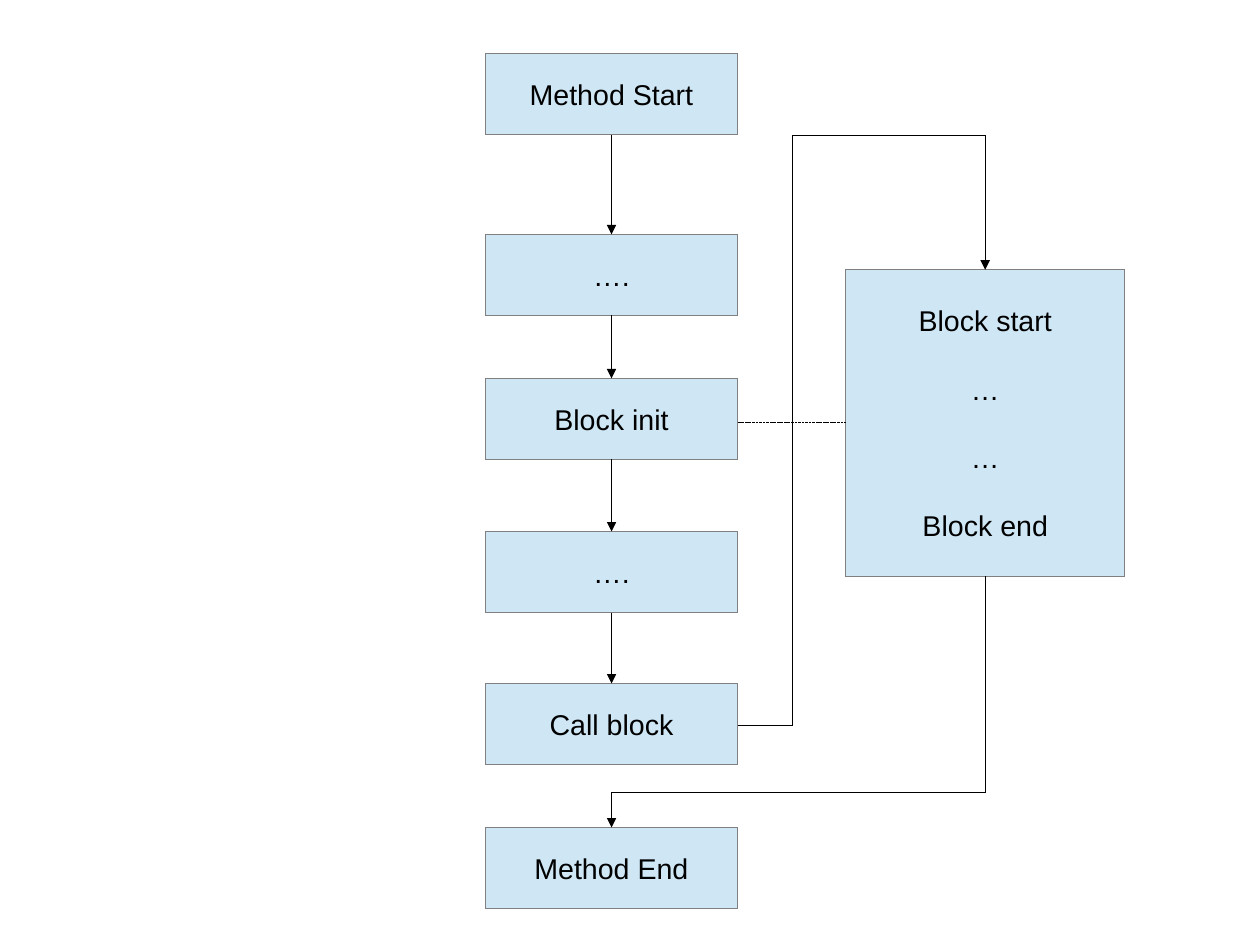
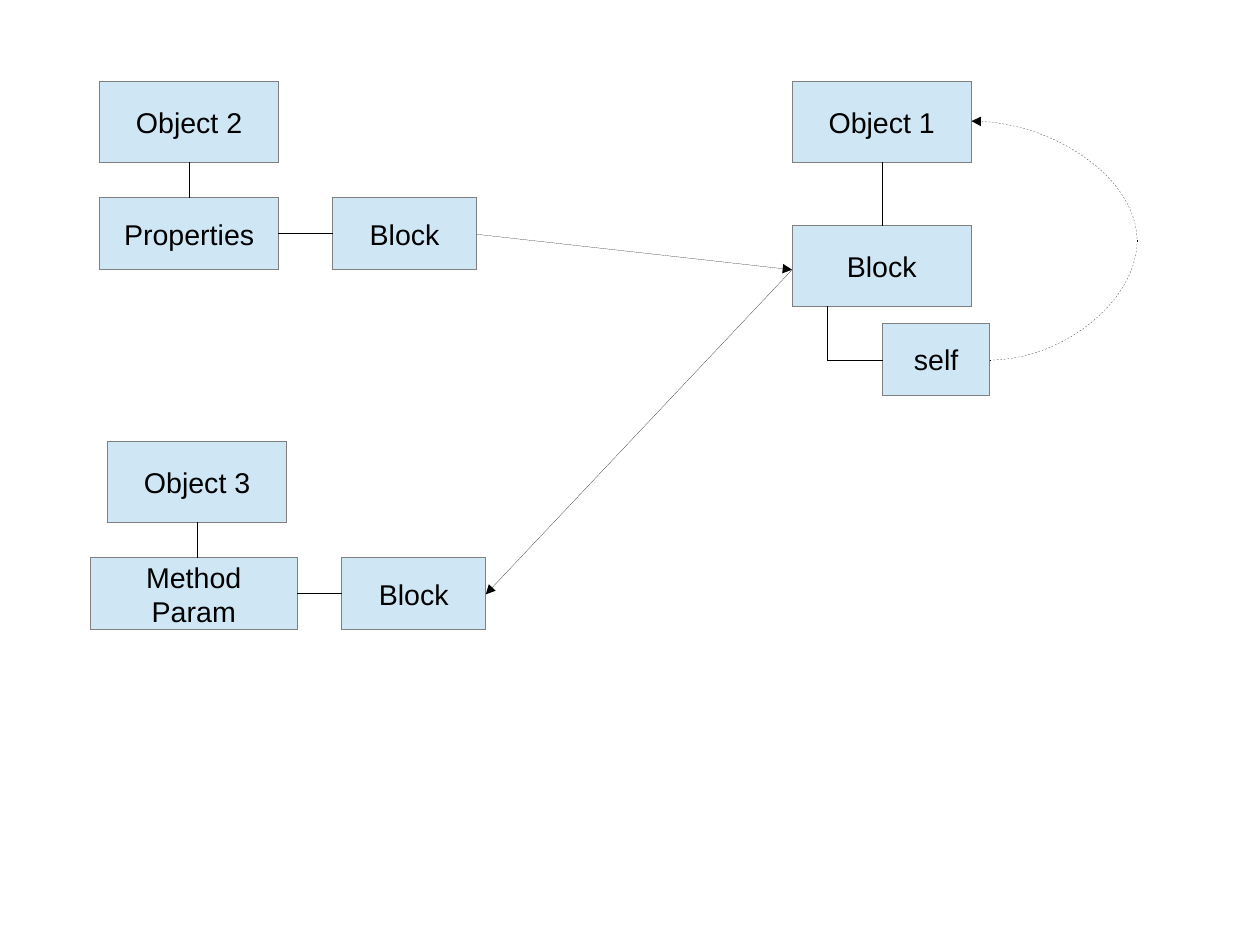
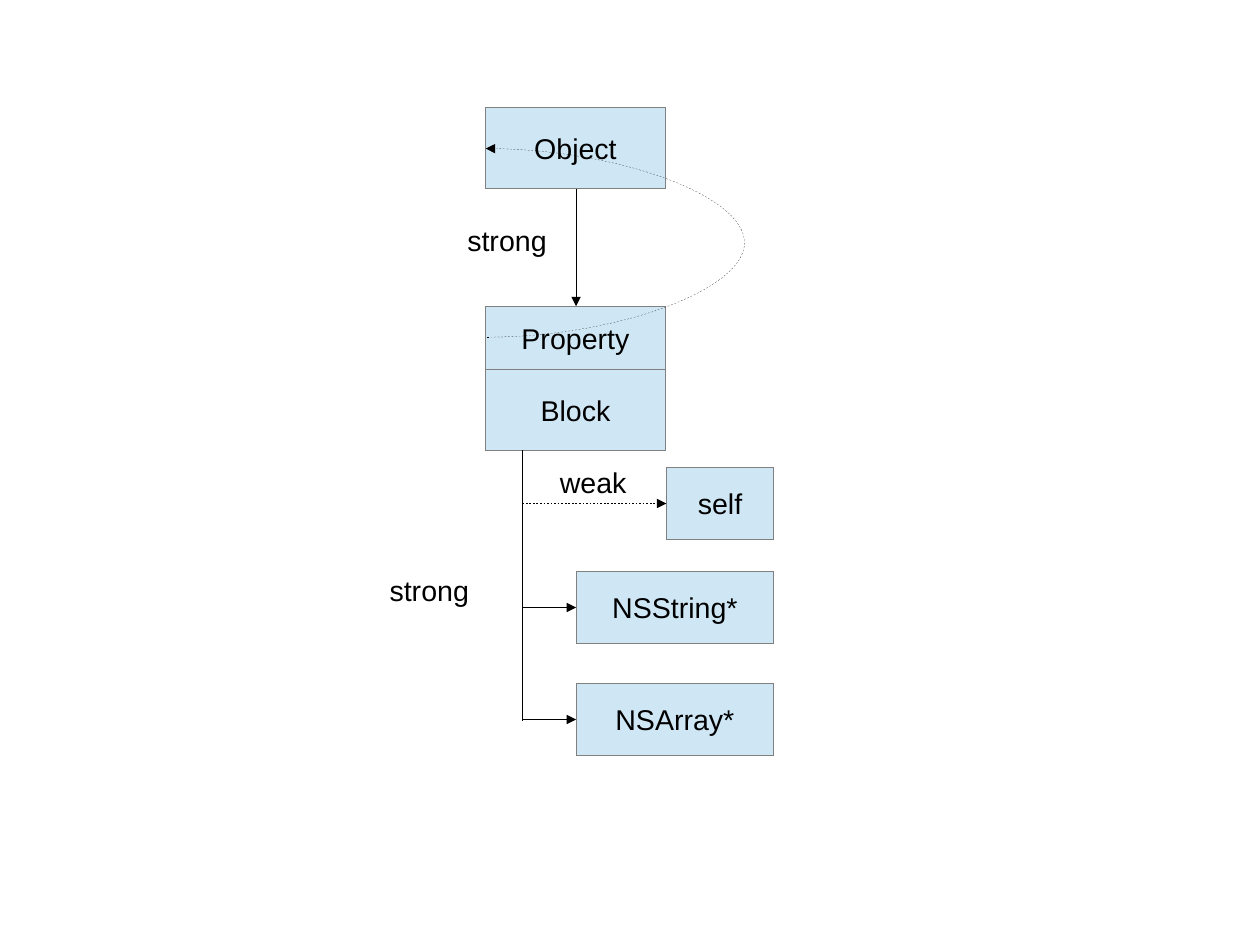
from lxml import etree
from pptx import Presentation
from pptx.dml.color import RGBColor
from pptx.enum.shapes import MSO_CONNECTOR, MSO_SHAPE
from pptx.enum.text import MSO_ANCHOR, MSO_AUTO_SIZE, PP_ALIGN
from pptx.oxml.ns import qn
from pptx.util import Cm, Inches, Pt

# Shared style
FONT, SIZE = "Arial", 18
BOX_FILL, BOX_LINE, INK = "CFE7F5", "808080", "000000"
BOX_H, SMALL_H = 0.71, 0.63
DASH_SHARE = "146000"

RECT = MSO_SHAPE.RECTANGLE
STRAIGHT, ELBOW, CURVE = (MSO_CONNECTOR.STRAIGHT, MSO_CONNECTOR.ELBOW,
                          MSO_CONNECTOR.CURVE)
MIDDLE, CENTER, LEFT = MSO_ANCHOR.MIDDLE, PP_ALIGN.CENTER, PP_ALIGN.LEFT
FIT_SHAPE = MSO_AUTO_SIZE.SHAPE_TO_FIT_TEXT


def rgb(hex_color):
    return RGBColor.from_string(hex_color)


def hairline(sp, color):
    """Give a shape or connector the thinnest line; return its a:ln."""
    sp.line.color.rgb = rgb(color)
    ln = sp._element.spPr.find(qn("a:ln"))
    ln.set("w", "0")
    return ln


def write(tf, text, align, gap=0):
    tf.text = text
    for i, p in enumerate(tf.paragraphs):
        p.alignment = align
        p.space_before = Pt(gap if i else 0)
        for r in p.runs:
            r.font.name, r.font.size = FONT, Pt(SIZE)
            r.font.color.rgb = rgb(INK)


def box(slide, text, x, y, w, h=BOX_H, gap=0):
    sp = slide.shapes.add_shape(RECT, *map(Inches, (x, y, w, h)))
    sp.shadow.inherit = False
    sp.fill.solid()
    sp.fill.fore_color.rgb = rgb(BOX_FILL)
    hairline(sp, BOX_LINE)
    tf = sp.text_frame
    tf.word_wrap = True
    tf.vertical_anchor = MIDDLE
    write(tf, text, CENTER, gap)


def label(slide, text, x, y, w):
    tf = slide.shapes.add_textbox(*map(Inches, (x, y, w, 0.38))).text_frame
    tf.word_wrap = False
    tf.auto_size = FIT_SHAPE
    write(tf, text, LEFT)


def link(slide, start, end, arrow=False, dashed=False, kind=STRAIGHT):
    cxn = slide.shapes.add_connector(kind, *map(Inches, (*start, *end)))
    ln = hairline(cxn, INK)
    if dashed:
        dash = etree.SubElement(ln, qn("a:custDash"))
        etree.SubElement(dash, qn("a:ds"), d=DASH_SHARE, sp=DASH_SHARE)
    if arrow:
        etree.SubElement(ln, qn("a:tailEnd"), type="triangle")
    etree.SubElement(cxn._element.spPr, qn("a:effectLst"))
    return cxn


def set_bends(cxn, preset, *ratios):
    """Place the bends of a routed connector, as shares of its extent."""
    geom = cxn._element.spPr.find(qn("a:prstGeom"))
    geom.set("prst", preset)
    guides = geom.find(qn("a:avLst"))
    if guides is None:
        guides = etree.SubElement(geom, qn("a:avLst"))
    for i, ratio in enumerate(ratios, 1):
        etree.SubElement(guides, qn("a:gd"), name=f"adj{i}",
                         fmla=f"val {round(ratio * 100000)}")


def share(a, b, value):
    return (value - a) / (b - a)


def over_link(slide, start, end, bend_x, bend_y):
    """Leave sideways, turn at bend_x and bend_y, arrive from above."""
    cxn = link(slide, start, end, arrow=True, kind=ELBOW)
    set_bends(cxn, "bentConnector4", share(start[0], end[0], bend_x),
              share(start[1], end[1], bend_y))


def down_link(slide, start, end, bend_y):
    """Leave downwards, cross at bend_y, arrive from above."""
    cx, cy = (start[0] + end[0]) / 2, (start[1] + end[1]) / 2
    turned = [(cx + y - cy, cy - x + cx) for x, y in (start, end)]
    cxn = link(slide, *turned, arrow=True, kind=ELBOW)
    cxn._element.spPr.find(qn("a:xfrm")).set("rot", "5400000")
    set_bends(cxn, "bentConnector3", share(start[1], end[1], bend_y))


def curve_link(slide, start, end, bend_x):
    cxn = link(slide, start, end, arrow=True, dashed=True, kind=CURVE)
    set_bends(cxn, "curvedConnector3", share(start[0], end[0], bend_x))


def block_flow(slide):
    left, width, mid = 4.25, 2.2, 5.35
    steps = [("Method Start", 0.47), ("….", 2.05), ("Block init", 3.31),
             ("….", 4.65), ("Call block", 5.98), ("Method End", 7.24)]
    for text, y in steps:
        box(slide, text, left, y, width)
    box(slide, "Block start\n…\n…\nBlock end", 7.4, 2.36, 2.44, 2.68, gap=21.5)

    # The last step is reached through the block
    tops = [y for _, y in steps[:-1]]
    for above, below in zip(tops, tops[1:]):
        link(slide, (mid, above + BOX_H), (mid, below), arrow=True)
    link(slide, (6.46, 3.7), (7.4, 3.7), dashed=True)
    over_link(slide, (6.46, 6.34), (8.62, 2.36), 6.93, 1.18)
    down_link(slide, (8.62, 5.04), (mid, 7.24), 6.93)


def holder(slide, name, x, y, member, member_x, member_w, block_x):
    """An object, its member below and the block that the member holds."""
    w, member_y = 1.57, y + 1.02
    mid, row = x + w / 2, member_y + SMALL_H / 2
    box(slide, name, x, y, w)
    box(slide, member, member_x, member_y, member_w, SMALL_H)
    box(slide, "Block", block_x, member_y, 1.26, SMALL_H)
    link(slide, (mid, y + BOX_H), (mid, member_y))
    link(slide, (member_x + member_w, row), (block_x, row))


def shared_block(slide):
    # Owner of the block
    box(slide, "Object 1", 6.93, 0.71, 1.57)
    box(slide, "Block", 6.93, 1.97, 1.57)
    box(slide, "self", 7.72, 2.83, 0.94, SMALL_H)
    for start, end in [((7.72, 1.42), (7.72, 1.97)),
                       ((7.24, 2.68), (7.24, 3.15)),
                       ((7.24, 3.15), (7.72, 3.15))]:
        link(slide, start, end)

    # Other holders
    holder(slide, "Object 2", 0.87, 0.71, "Properties", 0.87, 1.57, 2.91)
    holder(slide, "Object 3", 0.94, 3.86, "Method Param", 0.79, 1.81, 2.99)

    # References
    link(slide, (4.17, 2.05), (6.93, 2.36), arrow=True)
    link(slide, (6.93, 2.36), (4.25, 5.2), arrow=True)
    curve_link(slide, (8.66, 3.15), (8.5, 1.06), 9.95)


def captured_values(slide):
    left, width, trunk = 4.25, 1.57, 4.57
    box(slide, "Object", left, 0.94, width)
    box(slide, "Block", left, 3.23, width)
    box(slide, "Property", left, 2.68, width, 0.55)
    link(slide, (5.04, 1.65), (5.04, 2.68), arrow=True)
    curve_link(slide, (left + 0.01, 2.95), (left, 1.3), 6.55)

    # Captured values branch off the trunk
    link(slide, (trunk, 3.94), (trunk, 6.3))
    for text, x, y, weak in [("self", 5.83, 4.09, True),
                             ("NSString*", 5.04, 5, False),
                             ("NSArray*", 5.04, 5.98, False)]:
        box(slide, text, x, y, 6.77 - x, SMALL_H)
        row = y + SMALL_H / 2
        link(slide, (trunk, row), (x, row), arrow=True, dashed=weak)

    for text, x, y, w in [("strong", 3.31, 4.96, 0.91),
                          ("strong", 3.99, 1.9, 0.91),
                          ("weak", 4.8, 4.02, 0.8)]:
        label(slide, text, x, y, w)


def main():
    prs = Presentation()
    prs.slide_width, prs.slide_height = Cm(28), Cm(21)
    blank = prs.slide_layouts[6]
    for build in (block_flow, shared_block, captured_values):
        build(prs.slides.add_slide(blank))
    prs.save("out.pptx")


if __name__ == "__main__":
    main()
